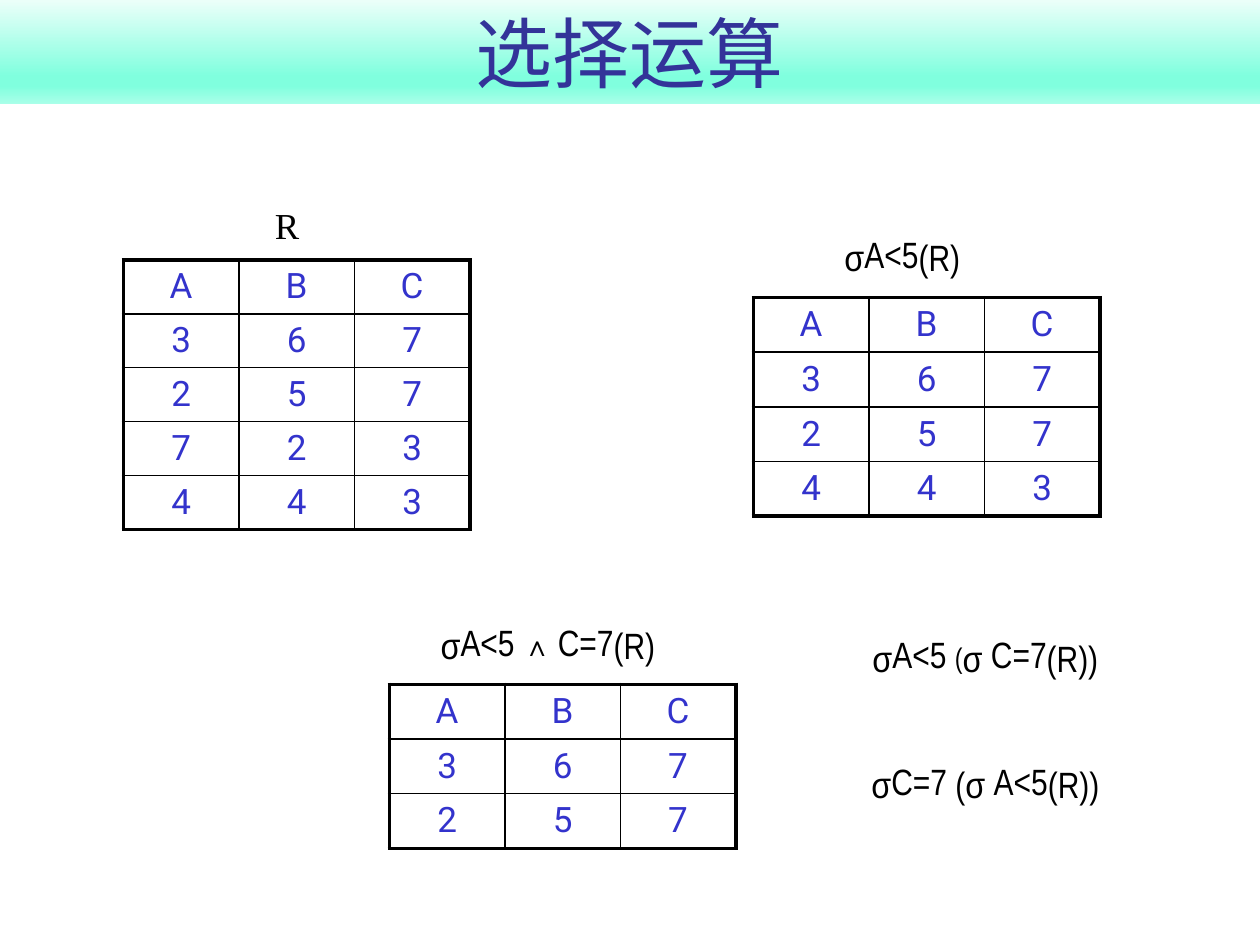
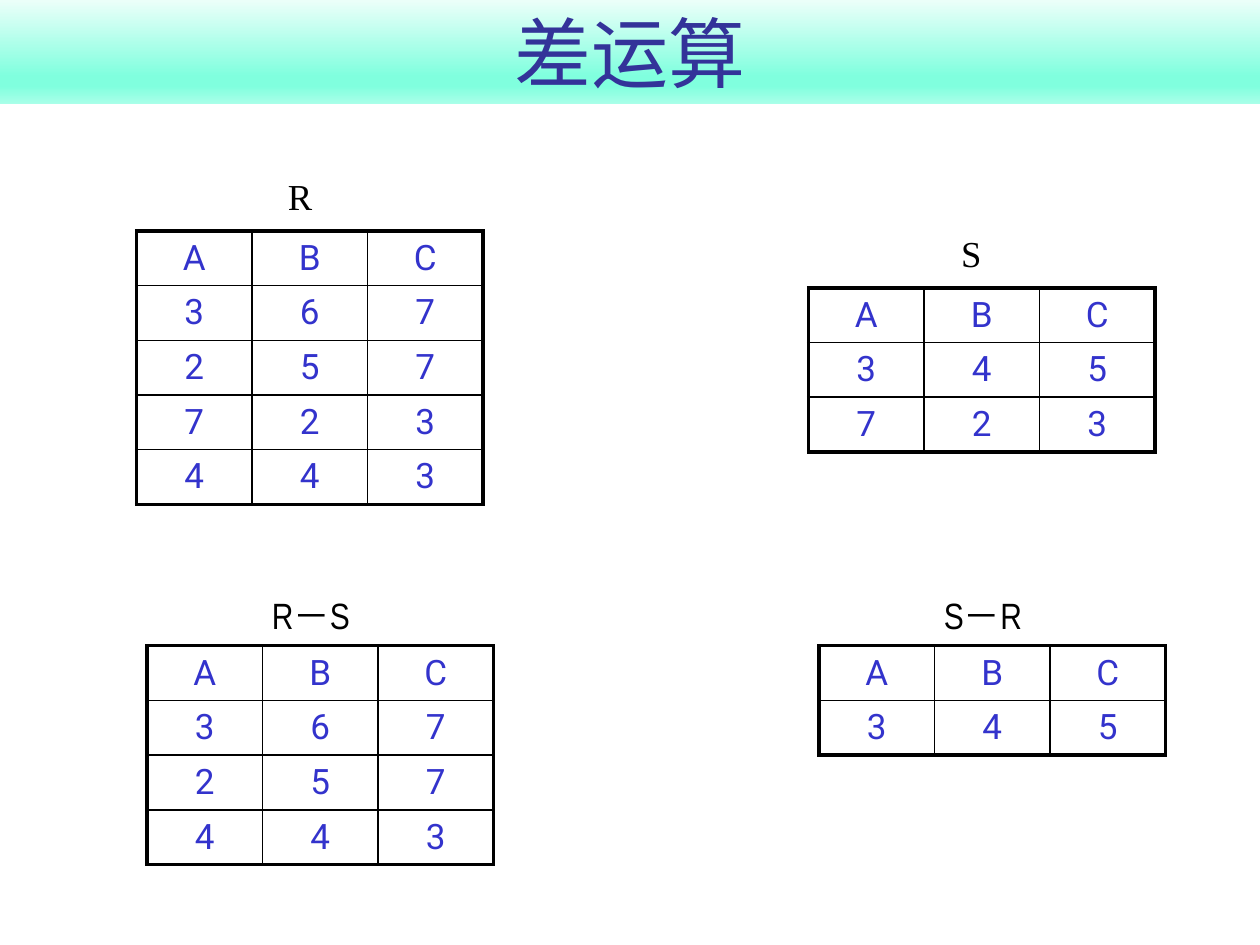
from lxml import etree
from pptx import Presentation
from pptx.dml.color import RGBColor
from pptx.enum.shapes import MSO_SHAPE
from pptx.enum.text import MSO_ANCHOR, PP_ALIGN
from pptx.oxml import parse_xml
from pptx.oxml.ns import nsdecls, qn
from pptx.util import Pt

RECTANGLE = MSO_SHAPE.RECTANGLE
CENTER = PP_ALIGN.CENTER
MIDDLE, BOTTOM = MSO_ANCHOR.MIDDLE, MSO_ANCHOR.BOTTOM

COLORS = {"title": "333399", "value": "3333CC", "ink": "000000"}
BAND_STOPS = [(0, "F1FFFB"), (74, "80FFDE"), (83, "80FFDE"), (100, "AAFFE9")]
SLIDE_WIDTH, SLIDE_HEIGHT = 720, 540
COLUMN_WIDTH = 66
ROW_HEIGHT = 31.2
TALL_ROW_HEIGHT = 30.8
OUTER_LINE, INNER_LINE = 2.25, 1
SERIF, NARROW, SANS = "Times New Roman", "Arial Narrow", "Roboto"
LOW, RAISED = -25, -20

HEADER = "ABC"
R_ROWS = [HEADER, "367", "257", "723", "443"]


def add_run(paragraph, text, size, font, color, baseline=0):
    run = paragraph.add_run()
    run.text = text
    run.font.size = Pt(size)
    run.font.name = font
    run.font.color.rgb = RGBColor.from_string(COLORS[color])
    if baseline:
        run.font._element.set("baseline", str(baseline * 1000))
    paragraph.alignment = CENTER


def add_title(slide, title):
    band = slide.shapes.add_shape(RECTANGLE, 0, Pt(-2.2), Pt(SLIDE_WIDTH), Pt(61.9))
    band.shadow.inherit = False
    band.line.fill.background()
    band.fill.gradient()
    band.fill.gradient_angle = 270
    stops = band._element.spPr.find(qn("a:gradFill")).find(qn("a:gsLst"))
    for stop in list(stops):
        stops.remove(stop)
    for position, color in BAND_STOPS:
        stops.append(parse_xml(
            f'<a:gs {nsdecls("a")} pos="{position * 1000}"><a:srgbClr val="{color}"/></a:gs>'))
    band.text_frame.vertical_anchor = BOTTOM
    add_run(band.text_frame.paragraphs[0], title, 44, SANS, "title")


def add_formulas(slide, left, top, width, height, formulas, font=NARROW):
    box = slide.shapes.add_textbox(Pt(left), Pt(top), Pt(width), Pt(height))
    frame = box.text_frame
    frame.word_wrap = True
    for index, formula in enumerate(formulas):
        paragraph = frame.add_paragraph() if index else frame.paragraphs[0]
        if index:
            paragraph.space_before = Pt(23)
        for text, baseline, *size in formula:
            add_run(paragraph, text, size[0] if size else 36, font, "ink", baseline)


def set_borders(cell, widths):
    properties = cell._tc.get_or_add_tcPr()
    for index, (side, width) in enumerate(widths.items()):
        line = etree.Element(qn(f"a:ln{side}"), w=str(Pt(width)))
        fill = etree.SubElement(line, qn("a:solidFill"))
        etree.SubElement(fill, qn("a:srgbClr"), val=COLORS["ink"])
        properties.insert(index, line)


def add_relation(slide, left, top, rows, caption, dx, dy, width,
                 font=NARROW, row_height=ROW_HEIGHT):
    last_row, last_column = len(rows) - 1, len(HEADER) - 1
    table = slide.shapes.add_table(
        len(rows), len(HEADER), Pt(left), Pt(top),
        Pt(COLUMN_WIDTH * len(HEADER)), Pt(row_height * len(rows))).table
    table.first_row = table.horz_banding = False
    for column in table.columns:
        column.width = Pt(COLUMN_WIDTH)
    for r, values in enumerate(rows):
        table.rows[r].height = Pt(row_height)
        for c, value in enumerate(values):
            cell = table.cell(r, c)
            cell.fill.background()
            cell.vertical_anchor = MIDDLE
            add_run(cell.text_frame.paragraphs[0], value, 20, SANS, "value")
            edges = {"L": c == 0, "R": c == last_column, "T": r == 0, "B": r == last_row}
            set_borders(cell, {side: OUTER_LINE if outer else INNER_LINE
                               for side, outer in edges.items()})
    add_formulas(slide, left + dx, top + dy, width, 50.4, [caption], font)


def build_selection(slide):
    add_title(slide, "选择运算")
    add_relation(slide, 70.5, 148.5, R_ROWS, [("R", LOW)], 60.5, -60, 66,
                 SERIF, TALL_ROW_HEIGHT)
    add_relation(slide, 430.5, 170, [HEADER, "367", "257", "443"],
                 [("σ", LOW), ("A<5", RAISED), ("(R) ", LOW)], 24.5, -63.5, 126)
    add_relation(slide, 222.5, 391, [HEADER, "367", "257"],
                 [("σ", LOW), ("A<5 ", RAISED), ("∧ ", LOW, 28),
                  ("C=7", RAISED), ("(R) ", LOW)], 0, -62.5, 186)
    add_formulas(slide, 455, 335.5, 221, 116.6, [
        [("σ", LOW), ("A<5 ", RAISED), ("(", LOW, 28), ("σ", LOW),
         (" C=7", RAISED), ("(R)) ", LOW)],
        [("σ", LOW), ("C=7 ", RAISED), ("(σ", LOW), (" A<5", RAISED), ("(R)) ", LOW)]])


def build_difference(slide):
    add_title(slide, "差运算")
    add_relation(slide, 78, 132, R_ROWS, [("R", LOW)], 60.5, -60.5, 66,
                 SERIF, TALL_ROW_HEIGHT)
    add_relation(slide, 462, 164.5, [HEADER, "345", "723"], [("S", LOW)],
                 60, -60, 66, SERIF)
    add_relation(slide, 84, 369, [HEADER, "367", "257", "443"],
                 [("R－S ", LOW)], 48, -58, 96)
    add_relation(slide, 468, 369, [HEADER, "345"], [("S－R ", LOW)], 48, -58, 96)


def main():
    presentation = Presentation()
    presentation.slide_width = Pt(SLIDE_WIDTH)
    presentation.slide_height = Pt(SLIDE_HEIGHT)
    for build in (build_selection, build_difference):
        build(presentation.slides.add_slide(presentation.slide_layouts[6]))
    presentation.save("out.pptx")


if __name__ == "__main__":
    main()
